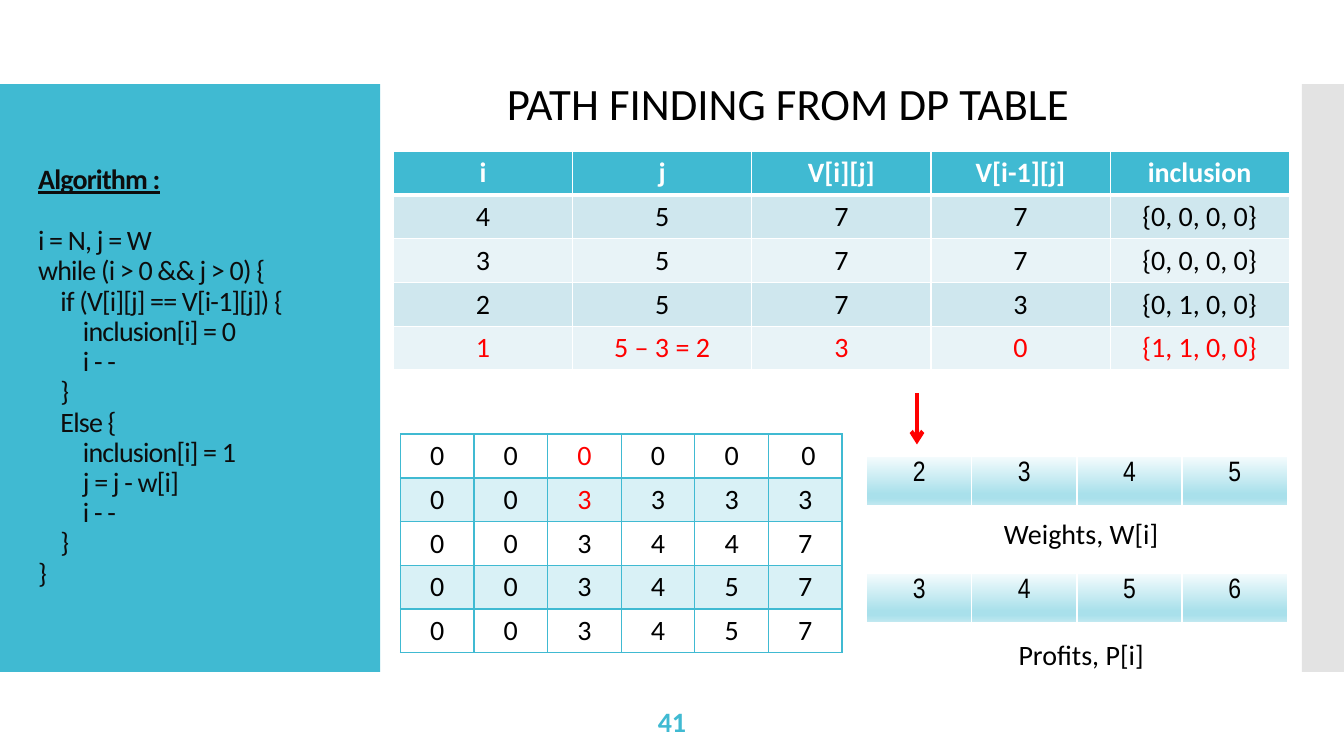
from lxml import etree
from pptx import Presentation
from pptx.dml.color import RGBColor
from pptx.enum import shapes, text
from pptx.oxml import ns
from pptx.util import Pt

TEAL, RED, BLACK, WHITE = "40BAD2", "FF0000", "000000", "FFFFFF"
GLOW = [(0, "F5FCFD"), (74, "A9E0EB"), (83, "A9E0EB"), (100, "C6EAF1")]
CODE = [
    (0, "i = N, j = W"),
    (0, "while (i > 0 && j > 0) {"),
    (1, "if (V[i][j] == V[i-1][j]) {"),
    (2, "inclusion[i] = 0"),
    (2, "i - -"),
    (1, "}"),
    (1, "Else {"),
    (2, "inclusion[i] = 1"),
    (2, "j = j - w[i]"),
    (2, "i - -"),
    (1, "}"),
    (0, "}"),
]
TRACE = [
    ["i", "j", "V[i][j]", "V[i-1][j]", "inclusion"],
    ["4", "5", "7", "7", "{0, 0, 0, 0}"],
    ["3", "5", "7", "7", "{0, 0, 0, 0}"],
    ["2", "5", "7", "3", "{0, 1, 0, 0}"],
    ["1", "5 – 3 = 2", "3", "0", "{1, 1, 0, 0}"],
]
GRID = [
    ["0", "0", "0", "0", "0", " 0"],
    ["0", "0", "3", "3", "3", "3"],
    ["0", "0", "3", "4", "4", "7"],
    ["0", "0", "3", "4", "5", "7"],
    ["0", "0", "3", "4", "5", "7"],
]


def rgb(code):
    """Turn a hex string into a colour."""
    return RGBColor.from_string(code)


def write(para, words, size=20, face="Calibri", hue=BLACK, bold=False,
          line=False, align="LEFT", track=0):
    """Add one formatted run to a paragraph."""
    para.alignment = getattr(text.PP_ALIGN, align)
    run = para.add_run()
    run.text = words
    font = run.font
    font.size, font.name, font.bold, font.underline = Pt(size), face, bold, line
    font.color.rgb = rgb(hue)
    if track:
        run._r.get_or_add_rPr().set("spc", str(track))


def label(slide, box, words, wrap=False, **form):
    """Place a text box with one line of text."""
    frame = slide.shapes.add_textbox(*map(Pt, box)).text_frame
    frame.word_wrap = wrap
    frame.vertical_anchor = text.MSO_ANCHOR.MIDDLE
    write(frame.paragraphs[0], words, **form)


def block(slide, box, hue):
    """Draw a plain filled rectangle."""
    shape = slide.shapes.add_shape(shapes.MSO_SHAPE.RECTANGLE, *map(Pt, box))
    shape.shadow.inherit = False
    shape.fill.solid()
    shape.fill.fore_color.rgb = rgb(hue)
    shape.line.fill.background()


def child(node, tag, **keys):
    """Add a DrawingML element under a node."""
    return etree.SubElement(node, ns.qn("a:" + tag), **keys)


def paint(cell, fill):
    """Fill a cell with nothing, a colour or gradient stops."""
    if fill is None:
        cell.fill.background()
    elif isinstance(fill, str):
        cell.fill.solid()
        cell.fill.fore_color.rgb = rgb(fill)
    else:
        grad = child(cell._tc.get_or_add_tcPr(), "gradFill", rotWithShape="1")
        stops = child(grad, "gsLst")
        for place, hue in fill:
            stop = child(stops, "gs", pos=str(place * 1000))
            child(stop, "srgbClr", val=hue)
        child(grad, "lin", ang="5400000", scaled="0")


def edge(cell, hue, base):
    """Draw the four borders of a cell, with its own bottom width."""
    props = cell._tc.get_or_add_tcPr()
    for spot, side in enumerate("LRTB"):
        wide = base if side == "B" else 1
        line = child(props, "ln" + side, w=str(Pt(wide)))
        child(child(line, "solidFill"), "srgbClr", val=hue)
        props.insert(spot, line)


def table(slide, box, rows, style):
    """Place a table; style gives fill, border, bottom and text per cell."""
    left, top, width, height = box
    grid = slide.shapes.add_table(len(rows), len(rows[0]), *map(Pt, box)).table
    grid.first_row = grid.horz_banding = False
    for col in grid.columns:
        col.width = Pt(width / len(rows[0]))
    for r, row in enumerate(rows):
        grid.rows[r].height = Pt(height / len(rows))
        for c, words in enumerate(row):
            cell = grid.cell(r, c)
            fill, hue, base, form = style(r, c)
            paint(cell, fill)
            edge(cell, hue, base)
            write(cell.text_frame.paragraphs[0], words, align="CENTER", **form)


def trace(slide, box):
    """Place the heading and the table of steps."""
    left, top, width, height = box

    def style(r, c):
        """Format a step cell."""
        if r == 0:
            return TEAL, WHITE, 3, dict(hue=WHITE, bold=True)
        fill = "CFE7EE" if r % 2 else "E8F3F7"
        return fill, WHITE, 1, dict(hue=RED if r == 4 else BLACK)

    label(slide, (left + 74, top, 418, 46), "PATH FINDING FROM DP TABLE", True, size=32)
    table(slide, (left, top + 57.5, width, height - 57.5), TRACE, style)


def values(slide, box):
    """Place the table of computed values."""
    def style(r, c):
        """Format a value cell."""
        hue = RED if c == 2 and r < 2 else BLACK
        return "D9F1F6" if r % 2 else None, TEAL, 1 if r else 2, dict(hue=hue)

    table(slide, box, GRID, style)


def strip(slide, box, row, words):
    """Place a one-row table with its caption below."""
    left, top, width, height = box

    def style(r, c):
        """Format a strip cell."""
        return GLOW, WHITE, 3, dict(face="Arial Narrow")

    table(slide, (left, top, width, 36), [row], style)
    label(slide, (left, top + height - 32, width + 6, 32), words, align="CENTER")


def arrow(slide, x, top, end):
    """Draw the red arrow pointing down."""
    link = slide.shapes.add_connector(
        shapes.MSO_CONNECTOR.STRAIGHT, Pt(x), Pt(top), Pt(x), Pt(end))
    link.line.color.rgb = rgb(RED)
    link.line.width = Pt(3)
    child(link.line._get_or_add_ln(), "tailEnd", type="arrow")
    child(link._element.spPr, "effectLst")


def code(slide, box):
    """Place the side panel with the algorithm in the title."""
    left, top, width, height = box
    block(slide, box, TEAL)
    title = slide.shapes.title
    slide.shapes._spTree.append(title._element)
    title.left, title.top = Pt(left + 20), Pt(top + 28.5)
    title.width, title.height = Pt(width - 40), Pt(height - 58)
    frame = title.text_frame
    frame.word_wrap = True
    frame.auto_size = text.MSO_AUTO_SIZE.NONE
    frame.vertical_anchor = text.MSO_ANCHOR.MIDDLE
    head = frame.paragraphs[0]
    write(head, "Algorithm :", hue="0D0D0D", bold=True, line=True, track=-60)
    head.space_after = Pt(22)
    for level, words in CODE:
        para = frame.add_paragraph()
        para._p.get_or_add_pPr().set("marL", str(Pt(16 * level)))
        write(para, words, hue="0D0D0D", track=-60)
    for para in frame.paragraphs:
        para.line_spacing = 0.9
        para.space_before = Pt(0)


def main():
    """Build the slide and save it."""
    deck = Presentation()
    deck.slide_width, deck.slide_height = Pt(960), Pt(540)
    slide = deck.slides.add_slide(deck.slide_layouts[5])
    code(slide, (0, 60, 271.5, 420))
    block(slide, (930, 60, 30, 420), "E3E3E3")
    trace(slide, (281, 50.5, 640, 213.5))
    values(slide, (286, 310, 315.5, 156))
    strip(slide, (619, 326, 300.5, 71), ["2", "3", "4", "5"], "Weights, W[i]")
    strip(slide, (619, 409.5, 300.5, 73.5), ["3", "4", "5", "6"], "Profits, P[i]")
    arrow(slide, 655, 281, 317.5)
    label(slide, (420, 500.5, 120, 29), "41", True, hue=TEAL, bold=True, align="CENTER")
    deck.save("out.pptx")


if __name__ == "__main__":
    main()
